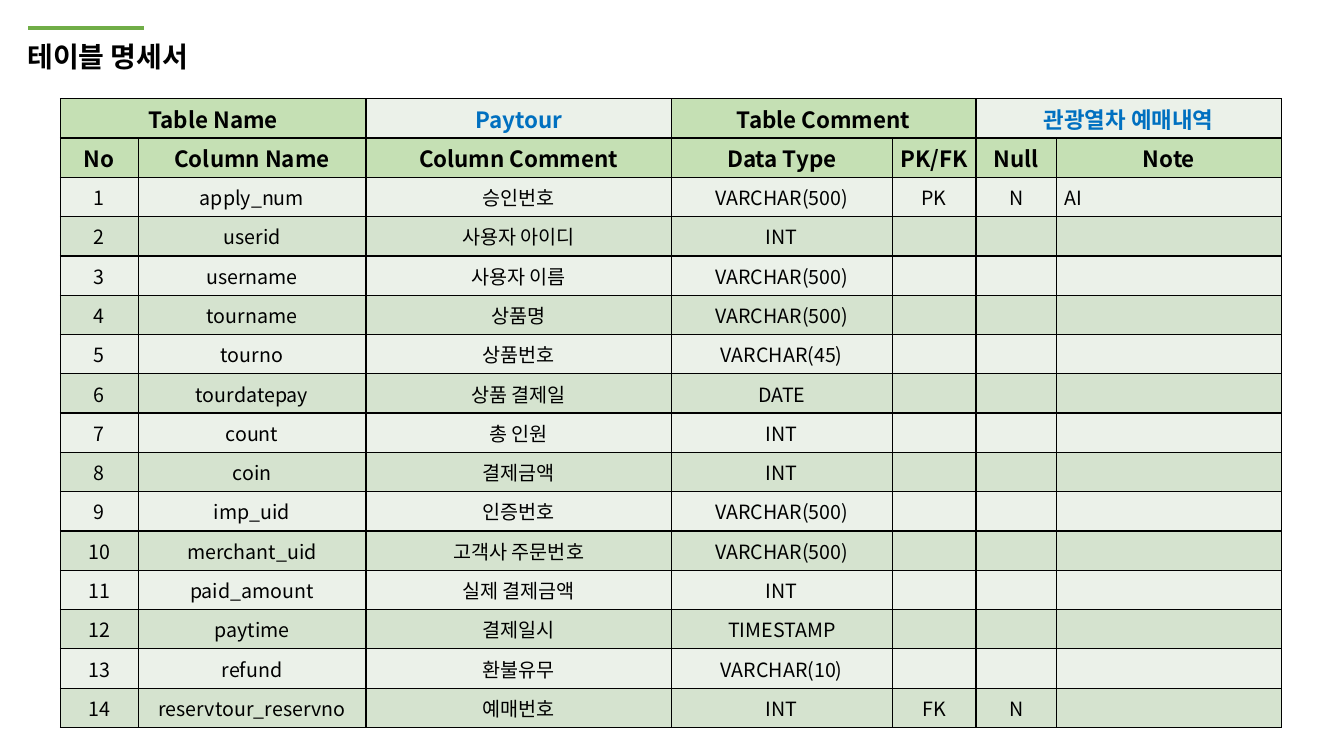
from lxml import etree
from pptx import Presentation
from pptx.dml.color import RGBColor
from pptx.enum.shapes import MSO_CONNECTOR
from pptx.enum.text import MSO_ANCHOR, PP_ALIGN
from pptx.oxml import parse_xml
from pptx.oxml.ns import qn
from pptx.util import Pt

PX = 9144
STRAIGHT = MSO_CONNECTOR.STRAIGHT
MIDDLE = MSO_ANCHOR.MIDDLE
LEFT, CENTER = PP_ALIGN.LEFT, PP_ALIGN.CENTER
FONT = "Noto Sans CJK KR"
COLORS = {
    "text": "000000",
    "value": "0070C0",
    "accent": "70AD47",
    "header": "C5E0B4",
    "light": "EBF1E9",
    "dark": "D5E3CF",
    "border": "000000",
}
TITLE_FORMAT = {"name": FONT, "size": Pt(20), "bold": True}
HEADER_FORMAT = {"name": FONT, "size": Pt(16), "bold": True}
BODY_FORMAT = {"name": FONT, "size": Pt(14), "bold": False}
COL_WIDTHS = [77, 226, 303, 219, 83, 80, 223]
ROW_HEIGHT = 39
SUMMARY = [
    (0, 1, "Table Name", "text", "header"),
    (2, 2, "Paytour", "value", "light"),
    (3, 4, "Table Comment", "text", "header"),
    (5, 6, "관광열차 예매내역", "value", "light"),
]
HEADINGS = ["No", "Column Name", "Column Comment", "Data Type", "PK/FK", "Null", "Note"]
TIGHT_HEADINGS = ("PK/FK", "Null")
FIELDS = [
    ("apply_num", "승인번호", "VARCHAR(500)", "PK", "N", "AI"),
    ("userid", "사용자 아이디", "INT"),
    ("username", "사용자 이름", "VARCHAR(500)"),
    ("tourname", "상품명", "VARCHAR(500)"),
    ("tourno", "상품번호", "VARCHAR(45)"),
    ("tourdatepay", "상품 결제일", "DATE"),
    ("count", "총 인원", "INT"),
    ("coin", "결제금액", "INT"),
    ("imp_uid", "인증번호", "VARCHAR(500)"),
    ("merchant_uid", "고객사 주문번호", "VARCHAR(500)"),
    ("paid_amount", "실제 결제금액", "INT"),
    ("paytime", "결제일시", "TIMESTAMP"),
    ("refund", "환불유무", "VARCHAR(10)"),
    ("reservtour_reservno", "예매번호", "INT", "FK", "N"),
]
A_NS = "http://schemas.openxmlformats.org/drawingml/2006/main"
BORDER_XML = (
    '<a:{side} xmlns:a="{ns}" w="12700"><a:solidFill>'
    '<a:srgbClr val="{color}"/></a:solidFill></a:{side}>'
)


def px(value):
    return value * PX


def rgb(name):
    return RGBColor.from_string(COLORS[name])


def set_attrs(target, values):
    for name, value in values.items():
        setattr(target, name, value)


def write_text(tf, text, align, font_format, color="text"):
    p = tf.paragraphs[0]
    p.alignment = align
    r = p.add_run()
    r.text = text
    set_attrs(r.font, font_format)
    r.font.color.rgb = rgb(color)
    east_asian = etree.SubElement(r.font._element, qn("a:ea"))
    east_asian.set("typeface", FONT)


def add_title(s, text):
    title = s.shapes.title
    set_attrs(title, {"left": px(17), "top": px(34), "width": px(398), "height": px(44)})
    set_attrs(title.text_frame, {"vertical_anchor": MIDDLE, "word_wrap": True})
    write_text(title.text_frame, text, LEFT, TITLE_FORMAT)


def add_accent_line(s):
    line = s.shapes.add_connector(STRAIGHT, px(28), px(28), px(143), px(28))
    line.line.color.rgb = rgb("accent")
    line.line.width = Pt(3)
    etree.SubElement(line._element.spPr, qn("a:effectLst"))


def style_cell(cell, fill):
    tc_pr = cell._tc.get_or_add_tcPr()
    for side in ("lnL", "lnR", "lnT", "lnB"):
        tc_pr.append(parse_xml(BORDER_XML.format(side=side, ns=A_NS, color=COLORS["border"])))
    cell.fill.solid()
    cell.fill.fore_color.rgb = rgb(fill)
    set_attrs(cell, {"vertical_anchor": MIDDLE, "margin_top": px(3), "margin_bottom": px(3)})


def fill_summary(table):
    for first, last, text, color, fill in SUMMARY:
        for col in range(first, last + 1):
            style_cell(table.cell(0, col), fill)
        cell = table.cell(0, first)
        if last > first:
            cell.merge(table.cell(0, last))
        write_text(cell.text_frame, text, CENTER, HEADER_FORMAT, color)


def fill_headings(table):
    for col, heading in enumerate(HEADINGS):
        cell = table.cell(1, col)
        style_cell(cell, "header")
        if heading in TIGHT_HEADINGS:
            set_attrs(cell, {"margin_left": px(4), "margin_right": px(4)})
        write_text(cell.text_frame, heading, CENTER, HEADER_FORMAT)


def fill_fields(table):
    note_col = len(HEADINGS) - 1
    for number, field in enumerate(FIELDS, 1):
        for col in range(len(HEADINGS)):
            style_cell(table.cell(number + 1, col), "light" if number % 2 else "dark")
        for col, text in enumerate((str(number), *field)):
            cell = table.cell(number + 1, col)
            if col == note_col:
                cell.margin_left = px(8)
            align = LEFT if col == note_col else CENTER
            write_text(cell.text_frame, text, align, BODY_FORMAT)


def add_spec_table(s):
    rows = len(FIELDS) + 2
    frame = s.shapes.add_table(
        rows, len(HEADINGS), px(60), px(98), px(sum(COL_WIDTHS)), px(ROW_HEIGHT * rows)
    )
    table = frame.table
    set_attrs(table, {"first_row": False, "horz_banding": False})
    for column, width in zip(table.columns, COL_WIDTHS):
        column.width = px(width)
    for row in table.rows:
        row.height = px(ROW_HEIGHT)
    fill_summary(table)
    fill_headings(table)
    fill_fields(table)


def main():
    prs = Presentation()
    set_attrs(prs, {"slide_width": px(1333), "slide_height": px(750)})
    s = prs.slides.add_slide(prs.slide_layouts[5])
    add_title(s, "테이블 명세서")
    add_accent_line(s)
    add_spec_table(s)
    prs.save("out.pptx")


if __name__ == "__main__":
    main()
